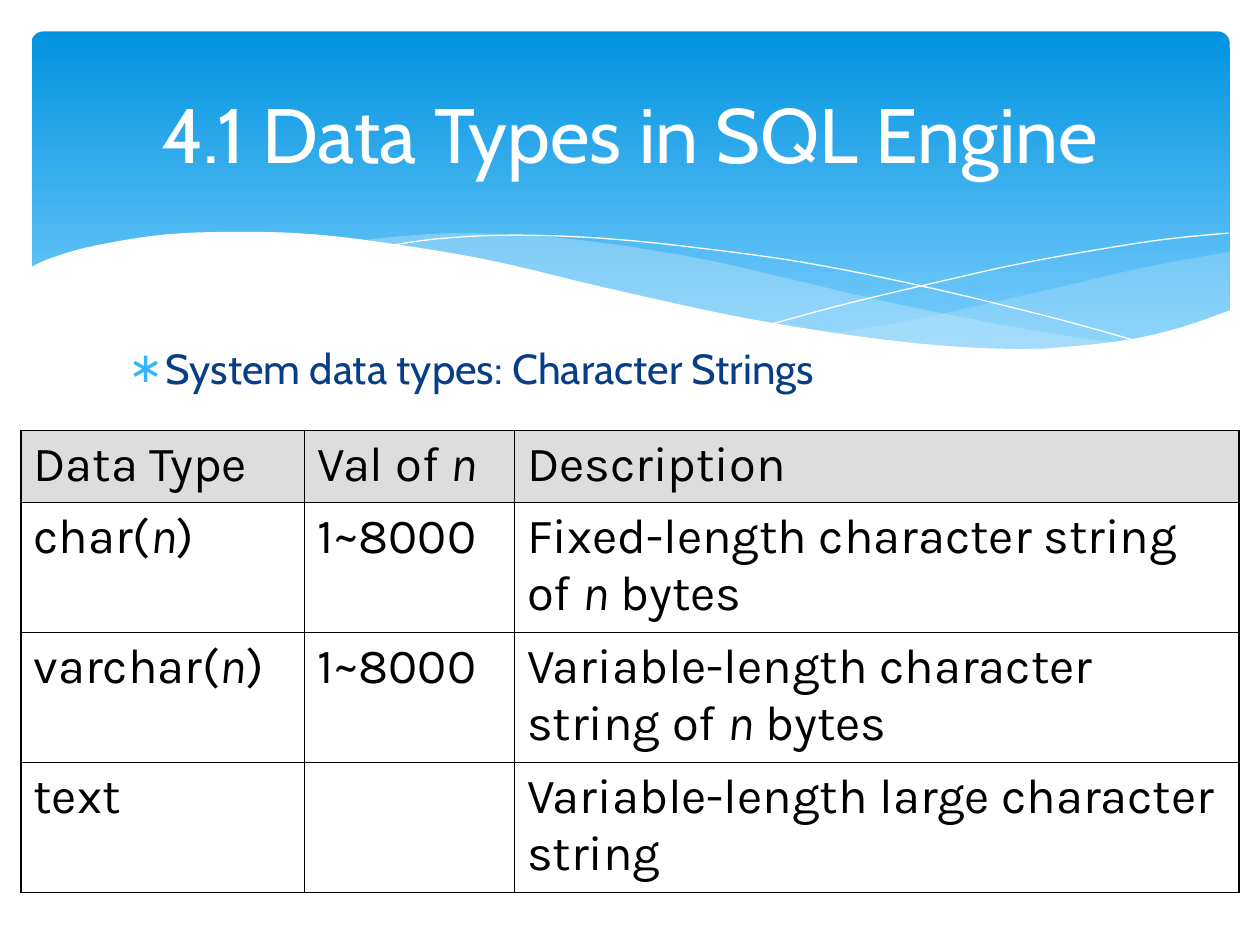
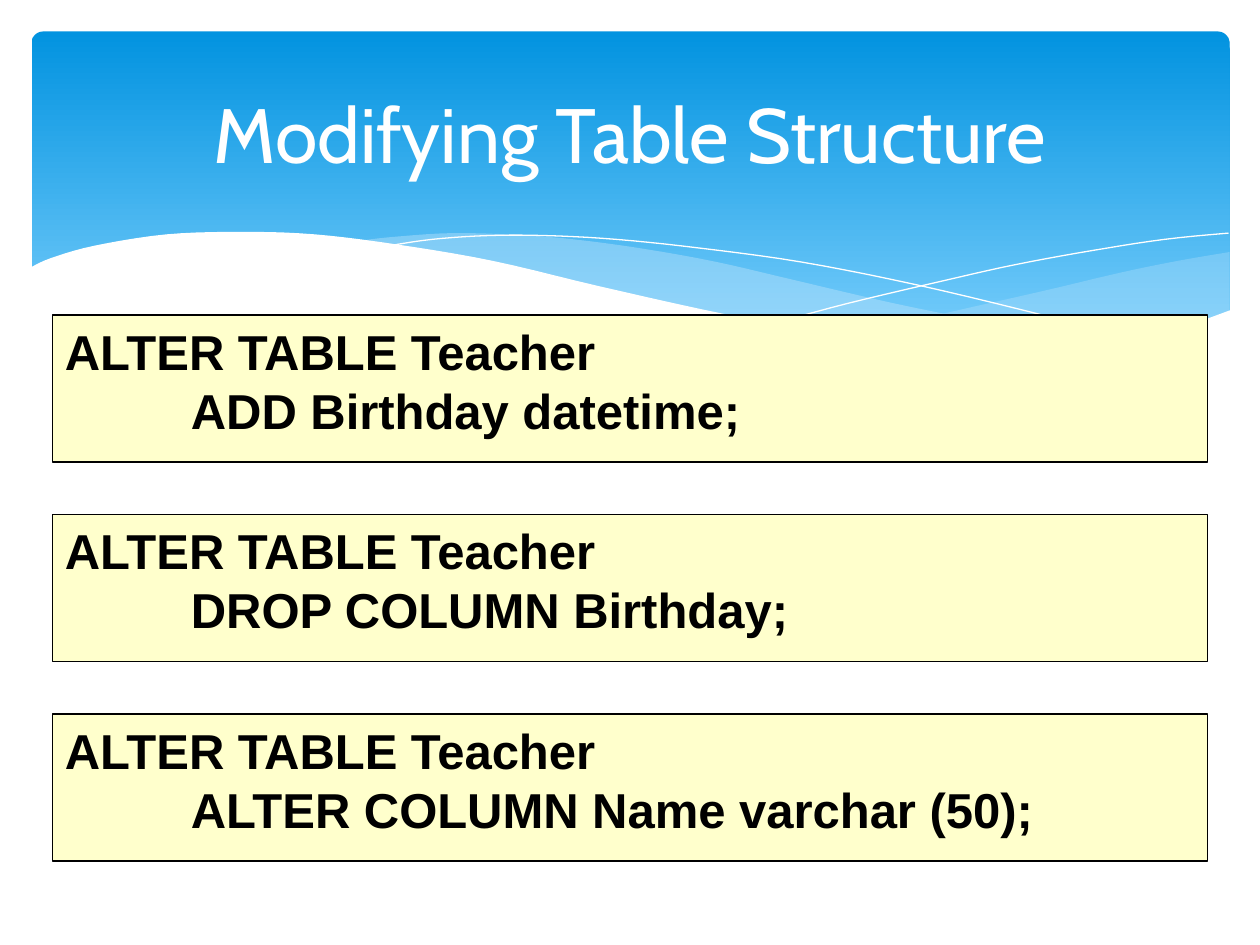
from lxml import etree
from pptx import Presentation, util as u
from pptx.dml.color import RGBColor
from pptx.enum import shapes, text
from pptx.oxml.ns import qn

WHITE = RGBColor(0xFF, 0xFF, 0xFF)
BLACK = RGBColor(0, 0, 0)
BAND_TOP = RGBColor(0x02, 0x93, 0xE0)
BAND_BOTTOM = RGBColor(0x83, 0xD3, 0xFE)
WAVE = RGBColor(0xC6, 0xE7, 0xFC)
NAVY = RGBColor(0x07, 0x3E, 0x87)
BULLET = RGBColor(0x31, 0xB6, 0xFD)
HEADER_GREY = RGBColor(0xDD, 0xDD, 0xDD)
CODE_YELLOW = RGBColor(0xFF, 0xFF, 0xCC)

WIDTH, HEIGHT = u.Inches(10), u.Inches(7.5)
CELL = WIDTH // 120          # the layout grid has 120 columns and 90 rows
WAVE_UNIT = WIDTH // 10      # wave knots lie on a ten-column grid

TITLE_FONT = dict(name="Cabin", size=u.Pt(44), color=WHITE)
LIST_FONT = dict(name="Cabin", size=u.Pt(24), color=NAVY)
TABLE_FONT = dict(name="Karla", size=u.Pt(28), color=BLACK)
CODE_FONT = dict(name="Arial", size=u.Pt(28), color=BLACK, bold=True)

TITLE_BOX = (6, 4.4, 108, 16.4)
LIST_BOX = (11, 32, 97.2, 45.2)
TABLE_BOX = (2, 41, 116, 44)
CODE_BOX = (5, 30, 110, 52)

# Knots of the curves; straight corners follow where a shape is closed.
RIGHT_TOP = [(9.76, 2), (9.35, 2.07), (8.91, 2.16), (8.32, 2.3), (7.79, 2.42),
             (7.29, 2.53), (6.61, 2.65)]
RIGHT_BOTTOM = [(6.61, 2.65), (7.05, 2.71), (7.57, 2.76), (8.03, 2.78),
                (8.54, 2.76), (8.97, 2.7), (9.35, 2.62), (9.76, 2.47)]
MIDDLE_TOP = [(8.93, 2.73), (8.37, 2.65), (7.75, 2.54), (7.06, 2.4), (6.29, 2.22),
              (5.69, 2.08), (5.14, 1.98), (4.64, 1.91), (4.2, 1.87), (3.61, 1.85),
              (3.13, 1.88), (2.86, 1.91)]
MIDDLE_BOTTOM = [(2.86, 1.91), (3.42, 1.99), (4.04, 2.11), (4.91, 2.32), (5.66, 2.48),
                 (6.34, 2.61), (6.95, 2.7), (7.48, 2.76), (8.07, 2.79), (8.57, 2.77),
                 (8.93, 2.73)]
FALLING_LINE = [(3.09, 1.95), (3.43, 1.9), (3.87, 1.87), (4.33, 1.87), (4.89, 1.9),
                (5.56, 1.97), (6.36, 2.08), (7.27, 2.26), (8.31, 2.51), (9.07, 2.72)]
RISING_LINE = [(6.13, 2.57), (6.72, 2.41), (7.48, 2.23), (8.06, 2.1), (8.66, 1.99),
               (9.24, 1.9), (9.75, 1.85)]
WHITE_CREST = [(9.77, 2.46), (9.4, 2.59), (8.99, 2.69), (8.5, 2.75), (8.09, 2.77),
               (7.44, 2.74), (6.68, 2.65), (5.79, 2.5), (4.75, 2.27), (3.91, 2.07),
               (3.15, 1.94), (2.5, 1.86), (1.93, 1.84), (1.32, 1.86), (0.75, 1.95),
               (0.4, 2.05), (0.23, 2.13)]
WHITE_CORNERS = [(0.23, 3.29), (9.77, 3.29)]

DATA_TYPES = [
    ("Data Type", "Val of *n*", "Description"),
    ("char(*n*)", "1~8000", "Fixed-length character string of *n* bytes"),
    ("varchar(*n*)", "1~8000", "Variable-length character string of *n* bytes"),
    ("text", "", "Variable-length large character string"),
]
TABLE_COLS = (27, 20, 69)
TABLE_ROWS = (6.8, 12.4, 12.4, 12.4)
OUTER_LINE, INNER_LINE = u.Pt(1.08), u.Pt(0.45)

STATEMENTS = [
    ("ALTER TABLE Teacher", "\tADD Birthday datetime;"),
    ("ALTER TABLE Teacher", "\tDROP COLUMN Birthday;"),
    ("ALTER TABLE Teacher", "\tALTER COLUMN Name varchar (50);"),
]


def cells(*counts):
    return [round(n * CELL) for n in counts]


def set_font(font, fmt):
    for key, value in fmt.items():
        if key == "color":
            font.color.rgb = value
        else:
            setattr(font, key, value)


def place(sp, box):
    for key, value in zip(("left", "top", "width", "height"), cells(*box)):
        setattr(sp, key, value)


def sub(parent, tag, **attrs):
    return etree.SubElement(parent, qn(tag), {k: str(v) for k, v in attrs.items()})


def smooth(knots, steps=5):
    """Return points of a Catmull-Rom curve through the knots."""
    ends = [knots[0], *knots, knots[-1]]
    points = [knots[0]]
    for a, b, c, d in zip(ends, ends[1:], ends[2:], ends[3:]):
        for t in (i / steps for i in range(1, steps + 1)):
            points.append(tuple(
                (2 * q + (r - p) * t + (2 * p - 5 * q + 4 * r - s) * t ** 2
                 + (3 * q - p - 3 * r + s) * t ** 3) / 2
                for p, q, r, s in zip(a, b, c, d)))
    return points


def add_wave(s, points, fill=None, opacity=100):
    """Add a filled outline, or an open white hairline if there is no fill."""
    points = [(x * WAVE_UNIT, y * WAVE_UNIT) for x, y in points]
    builder = s.shapes.build_freeform(*points[0])
    builder.add_line_segments(points[1:], close=fill is not None)
    sp = builder.convert_to_shape()
    sp.shadow.inherit = False
    if fill is None:
        sp.fill.background()
        sp.line.color.rgb = WHITE
        sp.line.width = 0
        return sp
    sp.fill.solid()
    sp.fill.fore_color.rgb = fill
    sp.line.fill.background()
    color = sp._element.spPr.find(qn("a:solidFill"))[0]
    sub(color, "a:alpha", val=opacity * 1000)
    return sp


def add_band(s):
    sp = s.shapes.add_shape(shapes.MSO_SHAPE.ROUNDED_RECTANGLE, *cells(3, 3, 114.1, 32.4))
    sp.adjustments[0] = 0.034
    sp.shadow.inherit = False
    sp.line.fill.background()
    sp.fill.gradient()
    sp.fill.gradient_angle = 270
    for stop, color in zip(sp.fill.gradient_stops, (BAND_TOP, BAND_BOTTOM)):
        stop.color.rgb = color
    return sp


def decorate_master(prs, s):
    """Draw the banner on a slide and move it behind the master's placeholders."""
    banner = [
        add_band(s),
        add_wave(s, smooth(RIGHT_TOP) + smooth(RIGHT_BOTTOM), WAVE, 29),
        add_wave(s, smooth(MIDDLE_TOP) + smooth(MIDDLE_BOTTOM), WAVE, 40),
        add_wave(s, smooth(FALLING_LINE)),
        add_wave(s, smooth(RISING_LINE)),
        add_wave(s, smooth(WHITE_CREST) + WHITE_CORNERS, WHITE),
    ]
    tree = prs.slide_master.shapes._spTree
    for i, sp in enumerate(banner):
        sp._element.nvSpPr.cNvPr.set("id", str(100 + i))
        tree.insert(2 + i, sp._element)


def set_title(s, title):
    sp = s.shapes.title
    place(sp, TITLE_BOX)
    tf = sp.text_frame
    tf.text = title
    tf.auto_size = text.MSO_AUTO_SIZE.NONE
    tf.vertical_anchor = text.MSO_ANCHOR.MIDDLE
    p = tf.paragraphs[0]
    p.alignment = text.PP_ALIGN.CENTER
    set_font(p.runs[0].font, TITLE_FONT)


def set_list(s, box, item):
    sp = s.placeholders[1]
    place(sp, box)
    tf = sp.text_frame
    tf.text = item
    tf.auto_size = text.MSO_AUTO_SIZE.NONE
    p = tf.paragraphs[0]
    p.space_before = 0
    pPr = p._p.get_or_add_pPr()
    pPr.set("marL", str(u.Inches(0.3)))
    pPr.set("indent", str(-u.Inches(0.3)))
    sub(sub(pPr, "a:buClr"), "a:srgbClr", val=BULLET)
    sub(pPr, "a:buFont", typeface="Cabin")
    sub(pPr, "a:buChar", char="∗")
    set_font(p.runs[0].font, LIST_FONT)


def set_borders(cell, outer):
    """Rule all four sides; those named in outer get the heavier line."""
    tcPr = cell._tc.get_or_add_tcPr()
    for side in "LRTB":
        ln = sub(tcPr, f"a:ln{side}", w=OUTER_LINE if side in outer else INNER_LINE)
        sub(sub(ln, "a:solidFill"), "a:srgbClr", val=BLACK)


def fill_cell(cell, marked):
    """Write text whose parts between asterisks are italic."""
    p = cell.text_frame.paragraphs[0]
    for i, part in enumerate(marked.split("*")):
        if part:
            r = p.add_run()
            r.text = part
            set_font(r.font, TABLE_FONT | {"italic": i % 2 == 1})


def add_type_table(s, box, rows):
    table = s.shapes.add_table(len(rows), len(rows[0]), *cells(*box)).table
    table.first_row = table.horz_banding = False
    for col, width in zip(table.columns, cells(*TABLE_COLS)):
        col.width = width
    for row, height in zip(table.rows, cells(*TABLE_ROWS)):
        row.height = height
    for i, row in enumerate(rows):
        for j, marked in enumerate(row):
            cell = table.cell(i, j)
            edges = {"L": j == 0, "R": j == len(row) - 1, "T": i == 0, "B": i == len(rows) - 1}
            set_borders(cell, [side for side, on in edges.items() if on])
            if i == 0:
                cell.fill.solid()
                cell.fill.fore_color.rgb = HEADER_GREY
            else:
                cell.fill.background()
            fill_cell(cell, marked)


def add_code_box(s, box, lines):
    sp = s.shapes.add_shape(shapes.MSO_SHAPE.RECTANGLE, *cells(*box))
    sp.shadow.inherit = False
    sp.fill.solid()
    sp.fill.fore_color.rgb = CODE_YELLOW
    sp.line.color.rgb = BLACK
    sp.line.width = u.Pt(0.75)
    tf = sp.text_frame
    tf.word_wrap = True
    tf.vertical_anchor = text.MSO_ANCHOR.TOP
    tf.text = "\n".join(lines)
    for p in tf.paragraphs:
        p.alignment = text.PP_ALIGN.LEFT
        tabs = sub(p._p.get_or_add_pPr(), "a:tabLst")
        sub(tabs, "a:tab", pos=u.Inches(1), algn="l")
        set_font(p.runs[0].font, CODE_FONT)


def add_code_stack(s, box, statements, gap=5):
    left, top, width, height = box
    step = (height + gap) / len(statements)
    for i, lines in enumerate(statements):
        add_code_box(s, (left, top + i * step, width, step - gap), lines)


def main():
    prs = Presentation()
    prs.slide_width, prs.slide_height = WIDTH, HEIGHT

    s = prs.slides.add_slide(prs.slide_layouts.get_by_name("Title and Content"))
    decorate_master(prs, s)
    set_title(s, "4.1 Data Types in SQL Engine")
    set_list(s, LIST_BOX, "System data types: Character Strings")
    add_type_table(s, TABLE_BOX, DATA_TYPES)

    s = prs.slides.add_slide(prs.slide_layouts.get_by_name("Title Only"))
    set_title(s, "Modifying Table Structure")
    add_code_stack(s, CODE_BOX, STATEMENTS)

    prs.save("out.pptx")


if __name__ == "__main__":
    main()
